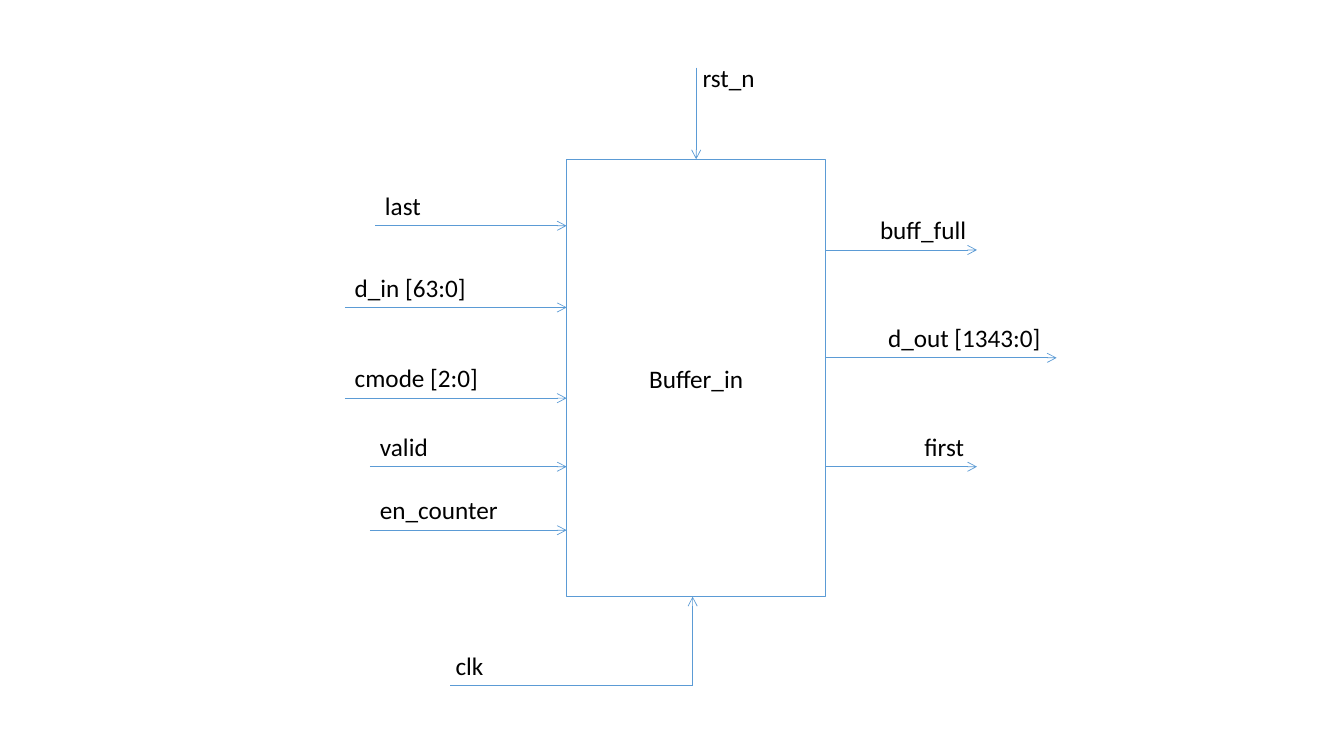
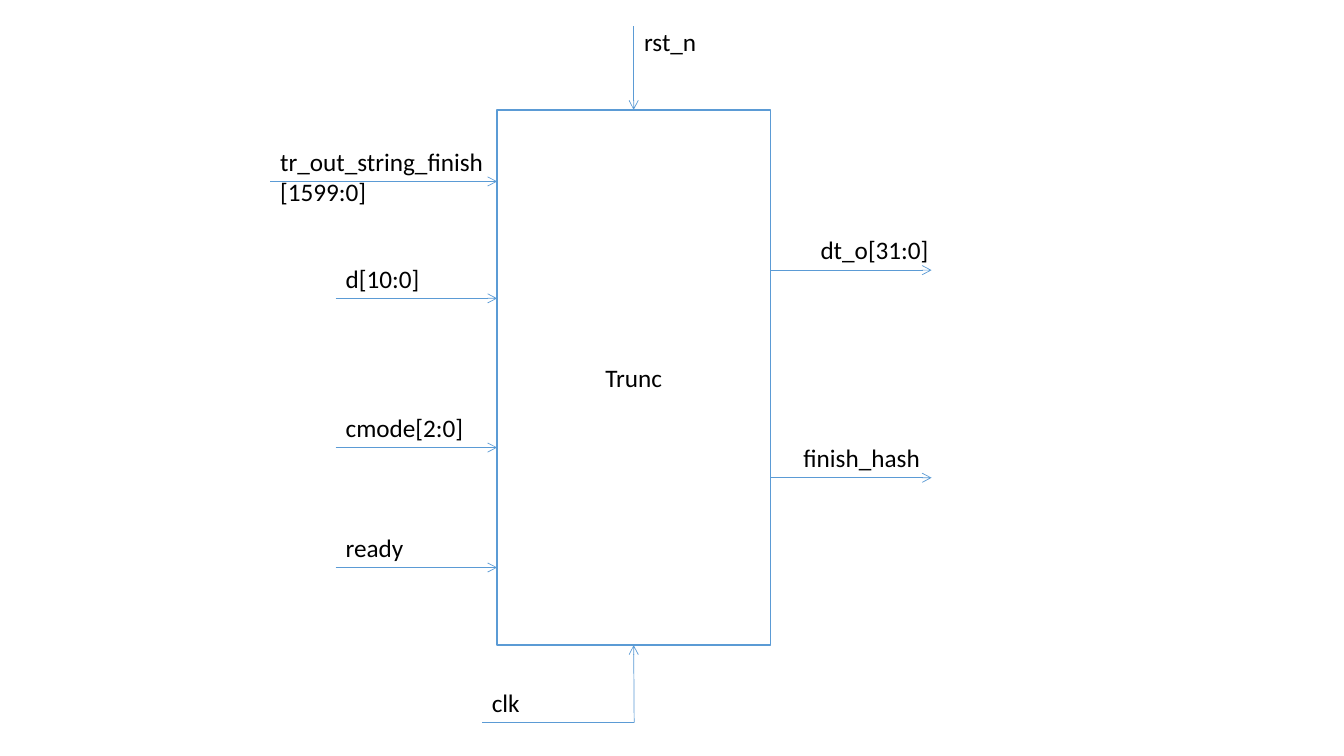
from lxml import etree
from pptx import Presentation
from pptx.dml.color import RGBColor
from pptx.enum import shapes, text
from pptx.oxml.ns import qn
from pptx.util import Inches, Pt

COLORS = {"line": "5B9BD5", "fill": "FFFFFF", "text": "000000"}
FONT, SIZE = "Calibri", 18
LABEL_RISE = 0.4  # height of a one-line label, which sits on its arrow
TOP, BOTTOM = 0, 2  # connection sites of a rectangle

# block: left, top, width, height
# inputs: label, arrow start x, y; outputs: label, arrow end x, y, label x
# reset: arrow start y, label x, label y; clock: riser x, y, start x, label x
DIAGRAMS = [
    {
        "name": "Buffer_in",
        "block": (5.62, 1.58, 2.57, 4.34),
        "label_width": 1.77,
        "inputs": [
            ("last", 3.72, 2.24),
            ("d_in [63:0]", 3.42, 3.05),
            ("cmode [2:0]", 3.42, 3.95),
            ("valid", 3.67, 4.63),
            ("en_counter", 3.67, 5.26),
        ],
        "outputs": [
            ("buff_full", 9.69, 2.48, 8.63),
            ("d_out [1343:0]", 10.48, 3.55, 8.71),
            ("first", 9.69, 4.63, 9.07),
        ],
        "reset": ("rst_n", 0.67, 6.87, 0.57),
        "clock": ("clk", 6.87, 6.8, 4.46, 4.42),
    },
    {
        "name": "Trunc",
        "block": (4.93, 1.09, 2.71, 5.31),
        "label_width": 2.36,
        "inputs": [
            ("tr_out_string_finish\n[1599:0]", 2.68, 1.8),
            ("d[10:0]", 3.33, 2.96),
            ("cmode[2:0]", 3.33, 4.44),
            ("ready", 3.33, 5.63),
        ],
        "outputs": [
            ("dt_o[31:0]", 9.24, 2.68, 8.04),
            ("finish_hash", 9.24, 4.74, 7.87),
        ],
        "reset": ("rst_n", 0.26, 6.29, 0.21),
        "clock": ("clk", 6.29, 7.17, 4.78, 4.78),
    },
]


def color(name):
    return RGBColor.from_string(COLORS[name])


def style_text(tf):
    for p in tf.paragraphs:
        p.font.name, p.font.size = FONT, Pt(SIZE)
        p.font.color.rgb = color("text")


def add_block(s, name, box):
    sp = s.shapes.add_shape(shapes.MSO_SHAPE.RECTANGLE, *map(Inches, box))
    sp.shadow.inherit = False
    sp.fill.solid()
    sp.fill.fore_color.rgb = color("fill")
    sp.line.color.rgb = color("line")
    sp.line.width = Pt(1)
    tf = sp.text_frame
    tf.text = name
    tf.vertical_anchor = text.MSO_ANCHOR.MIDDLE
    tf.paragraphs[0].alignment = text.PP_ALIGN.CENTER
    style_text(tf)
    return sp


def add_label(s, label, x, y, width):
    lines = label.count("\n") + 1
    height = LABEL_RISE + 0.3 * (lines - 1)
    tf = s.shapes.add_textbox(*map(Inches, (x, y, width, height))).text_frame
    tf.word_wrap = True
    tf.auto_size = text.MSO_AUTO_SIZE.SHAPE_TO_FIT_TEXT
    tf.text = label
    style_text(tf)


def add_wire(s, start, end, arrow=True):
    wire = s.shapes.add_connector(
        shapes.MSO_CONNECTOR.STRAIGHT, *map(Inches, start + end))
    wire.line.color.rgb = color("line")
    wire.line.width = Pt(0.5)
    if arrow:
        etree.SubElement(wire.line._get_or_add_ln(), qn("a:tailEnd"), type="arrow")
    etree.SubElement(wire._element.spPr, qn("a:effectLst"))
    return wire


def add_diagram(s, diagram):
    left, top, width, height = diagram["block"]
    right, bottom, middle = left + width, top + height, left + width / 2
    label_width = diagram["label_width"]
    block = add_block(s, diagram["name"], diagram["block"])

    for label, x, y in diagram["inputs"]:
        add_wire(s, (x, y), (left, y))
        add_label(s, label, x, y - LABEL_RISE, label_width)
    for label, x, y, label_x in diagram["outputs"]:
        add_wire(s, (right, y), (x, y))
        add_label(s, label, label_x, y - LABEL_RISE, label_width)

    label, y, label_x, label_y = diagram["reset"]
    add_wire(s, (middle, y), (middle, top)).end_connect(block, TOP)
    add_label(s, label, label_x, label_y, label_width)

    label, x, y, start_x, label_x = diagram["clock"]
    add_wire(s, (x, y), (start_x, y), arrow=False)
    riser = add_wire(s, (x, y), (x, bottom))
    if abs(x - middle) < 0.01:
        riser.end_connect(block, BOTTOM)
    add_label(s, label, label_x, y - LABEL_RISE, label_width)


def main():
    prs = Presentation()
    prs.slide_width, prs.slide_height = Inches(13.33), Inches(7.5)
    blank = prs.slide_layouts.get_by_name("Blank")
    for diagram in DIAGRAMS:
        add_diagram(prs.slides.add_slide(blank), diagram)
    prs.save("out.pptx")


if __name__ == "__main__":
    main()
